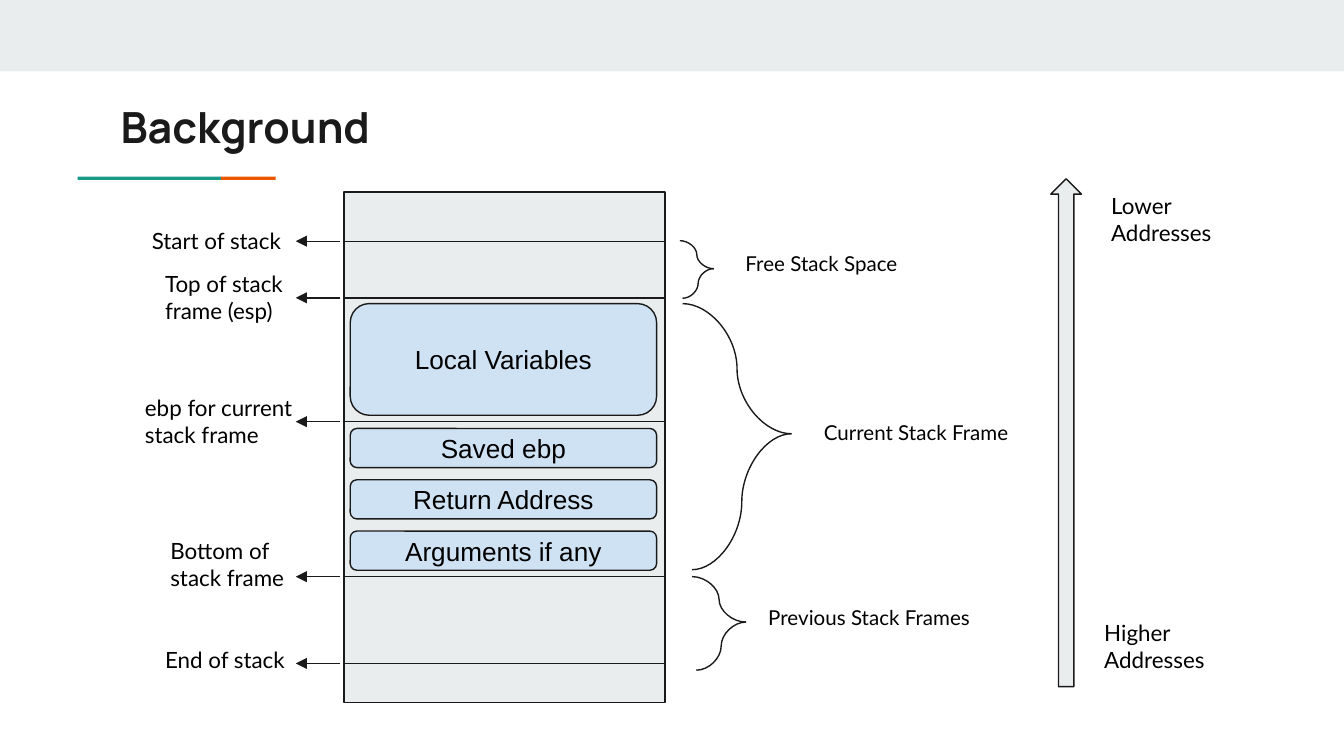
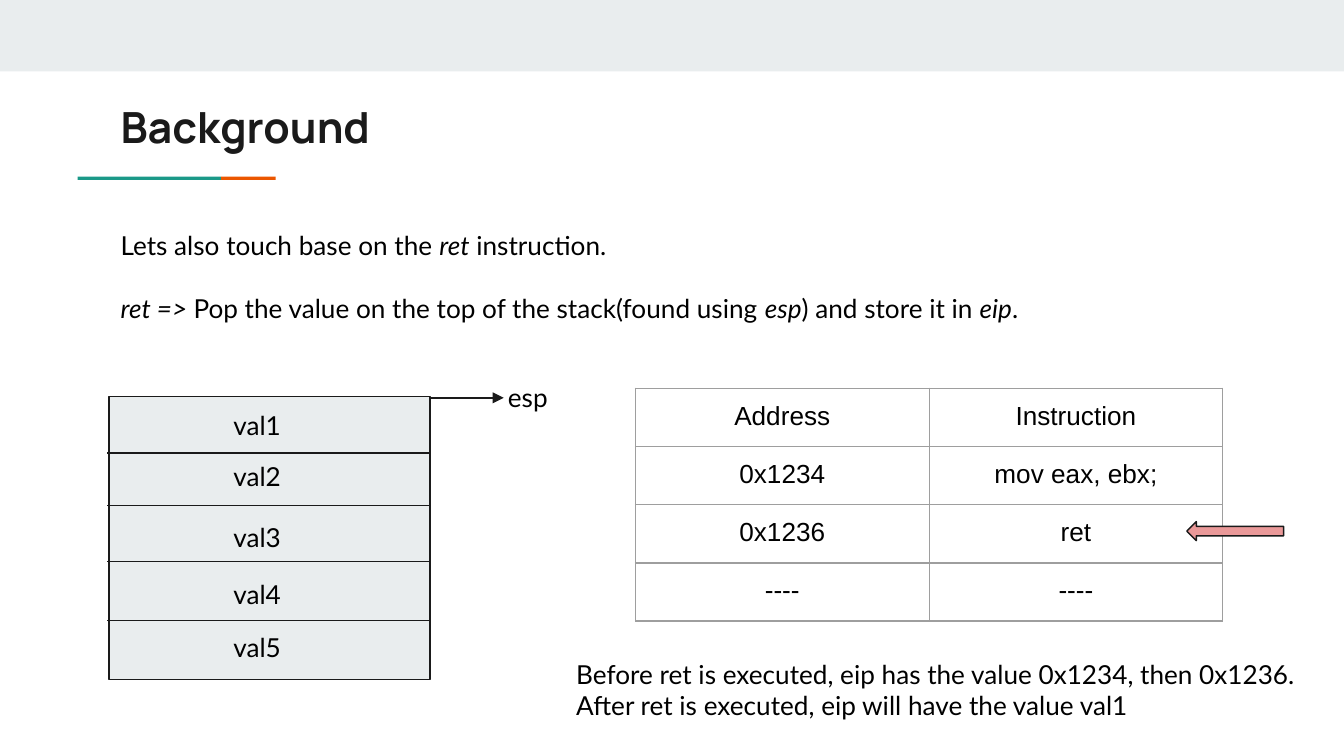
from dataclasses import dataclass

from lxml.etree import SubElement
from pptx import Presentation
from pptx.dml.color import RGBColor
from pptx.enum.shapes import MSO_CONNECTOR, MSO_SHAPE
from pptx.enum.text import MSO_ANCHOR, PP_ALIGN
from pptx.oxml import parse_xml
from pptx.oxml.ns import nsdecls, qn
from pptx.util import Cm, Pt


@dataclass(frozen=True)
class Theme:
    ink: str = "1A1A1A"
    text: str = "000000"
    band: str = "E9EDEE"
    teal: str = "1A9988"
    orange: str = "EB5600"
    block: str = "CFE2F3"
    pointer: str = "EA9999"
    grid: str = "9E9E9E"
    title_font: str = "Manrope"
    body_font: str = "Lato"
    block_font: str = "Arial"
    title_size: int = 23
    body_size: int = 14
    label_size: int = 12
    brace_size: int = 11
    line_width: float = 0.75
    inset: float = 0.25


T = Theme()


# Text
def set_font(p, size, font=T.body_font, color=T.text, align=PP_ALIGN.LEFT):
    p.alignment = align
    p.font.size = Pt(size)
    p.font.name = font
    p.font.color.rgb = RGBColor.from_string(color)


def set_frame(tf, anchor=MSO_ANCHOR.TOP):
    tf.word_wrap = True
    tf.vertical_anchor = anchor
    tf.margin_left = tf.margin_right = Cm(T.inset)
    tf.margin_top = tf.margin_bottom = Cm(T.inset)


def add_text(slide, box, paragraphs, size=T.body_size,
             align=PP_ALIGN.LEFT, space=0):
    """Each paragraph is a string; parts between asterisks are italic."""
    tf = slide.shapes.add_textbox(*map(Cm, box)).text_frame
    set_frame(tf)
    for i, text in enumerate(paragraphs):
        p = tf.add_paragraph() if i else tf.paragraphs[0]
        set_font(p, size, align=align)
        if i and space:
            p.space_before = Pt(space)
        for j, part in enumerate(text.split("*")):
            if part:
                r = p.add_run()
                r.text = part
                if j % 2:
                    r.font.italic = True


# Shapes and lines
def add_box(slide, kind, box, fill, outlined=True):
    sp = slide.shapes.add_shape(kind, *map(Cm, box))
    sp.shadow.inherit = False
    sp.fill.solid()
    sp.fill.fore_color.rgb = RGBColor.from_string(fill)
    if outlined:
        sp.line.color.rgb = RGBColor.from_string(T.ink)
        sp.line.width = Pt(T.line_width)
    else:
        sp.line.fill.background()
    return sp


def add_block(slide, top, height, text):
    sp = add_box(slide, MSO_SHAPE.ROUNDED_RECTANGLE,
                 (6.62, top, 5.79, height), T.block)
    sp.adjustments[0] = 0.17
    set_frame(sp.text_frame, MSO_ANCHOR.MIDDLE)
    p = sp.text_frame.paragraphs[0]
    set_font(p, T.body_size, T.block_font, align=PP_ALIGN.CENTER)
    p.add_run().text = text


def add_line(slide, start, end, kind=MSO_CONNECTOR.STRAIGHT, arrow=False):
    line = slide.shapes.add_connector(kind, *map(Cm, (*start, *end)))
    line.line.color.rgb = RGBColor.from_string(T.ink)
    line.line.width = Pt(T.line_width)
    if arrow:
        SubElement(line.line._get_or_add_ln(), qn("a:tailEnd"), type="triangle")
    SubElement(line._element.spPr, qn("a:effectLst"))


def add_brace(slide, top, bottom, tip):
    for arm in (top, bottom):
        add_line(slide, arm, tip, MSO_CONNECTOR.CURVE)


# Table
def set_borders(cell):
    tcPr = cell._tc.get_or_add_tcPr()
    for side in ("lnL", "lnR", "lnT", "lnB"):
        tcPr.append(parse_xml(
            f'<a:{side} {nsdecls("a")} w="{Pt(T.line_width)}"><a:solidFill>'
            f'<a:srgbClr val="{T.grid}"/></a:solidFill></a:{side}>'))


def add_grid(slide, left, top, col_width, row_height, rows):
    n_rows, n_cols = len(rows), len(rows[0])
    table = slide.shapes.add_table(
        n_rows, n_cols, Cm(left), Cm(top),
        Cm(col_width * n_cols), Cm(row_height * n_rows)).table
    table.first_row = table.horz_banding = False
    for row, values in zip(table.rows, rows):
        row.height = Cm(row_height)
        for cell, value in zip(row.cells, values):
            set_borders(cell)
            cell.fill.background()
            cell.margin_left = cell.margin_right = Cm(T.inset)
            cell.margin_top = cell.margin_bottom = Cm(T.inset)
            p = cell.text_frame.paragraphs[0]
            set_font(p, T.body_size, T.block_font, align=PP_ALIGN.CENTER)
            p.add_run().text = value


# Slide base: band, title and two-colour rule
def add_slide(prs, title):
    slide = prs.slides.add_slide(prs.slide_layouts[5])
    for box, color in (((0, 0, 25.4, 1.35), T.band),
                       ((1.47, 3.34, 2.71, 0.06), T.teal),
                       ((4.18, 3.34, 1.03, 0.06), T.orange)):
        add_box(slide, MSO_SHAPE.RECTANGLE, box, color, outlined=False)
    sp = slide.shapes.title
    sp.left, sp.top, sp.width, sp.height = map(Cm, (2.03, 1.63, 21.36, 1.5))
    set_frame(sp.text_frame, MSO_ANCHOR.MIDDLE)
    p = sp.text_frame.paragraphs[0]
    set_font(p, T.title_size, T.title_font, T.ink)
    p.font.bold = True
    p.add_run().text = title
    return slide


def build_stack_layout(prs):
    slide = add_slide(prs, "Background")
    add_box(slide, MSO_SHAPE.RECTANGLE, (6.5, 3.63, 6.07, 9.65), T.band)

    # Frame contents
    add_block(slide, 5.74, 2.11, "Local Variables")
    for i, text in enumerate(("Saved ebp", "Return Address", "Arguments if any")):
        add_block(slide, 8.1 + 0.97 * i, 0.74, text)

    # Levels with their pointers: y, label, label box
    levels = (
        (4.56, "Start of stack", (2.62, 4.04, 3, 1.02)),
        (5.63, "Top of stack frame (esp)", (2.87, 4.85, 3, 1.55)),
        (7.97, "ebp for current stack frame", (2.49, 7.21, 3.94, 1.55)),
        (10.9, "Bottom of stack frame", (2.97, 9.91, 3, 1.55)),
        (12.54, "End of stack", (2.87, 11.96, 3, 1.02)),
    )
    for y, label, box in levels:
        add_line(slide, (6.48, y), (12.57, y))
        add_line(slide, (6.42, y), (5.59, y), arrow=True)
        add_text(slide, box, [label], T.label_size)

    # Braces: upper arm, lower arm, tip, label, label position
    braces = (
        ((12.85, 4.55), (12.9, 5.64), (13.49, 5.08),
         "Free Stack Space", (13.84, 4.52)),
        ((12.9, 5.74), (13.08, 10.77), (14.96, 8.2),
         "Current Stack Frame", (15.32, 7.7)),
        ((13.08, 10.9), (13.16, 12.67), (14.1, 11.76),
         "Previous Stack Frames", (14.27, 11.2)),
    )
    for top, bottom, tip, label, corner in braces:
        add_brace(slide, top, bottom, tip)
        add_text(slide, (*corner, 5.41, 0.99), [label], T.brace_size)

    # Address direction
    add_box(slide, MSO_SHAPE.UP_ARROW, (19.86, 3.38, 0.58, 9.6), T.band)
    add_text(slide, (20.75, 3.38, 3, 1.55), ["Lower Addresses"], T.label_size)
    add_text(slide, (20.62, 11.46, 2.87, 1.55), ["Higher Addresses"], T.label_size)


def build_ret_example(prs):
    slide = add_slide(prs, "Background")
    add_text(slide, (2.03, 4.09, 21.72, 3.51), [
        "Lets also touch base on the *ret* instruction.",
        "*ret => *Pop the value on the top of the stack(found using *esp*)"
        " and store it in *eip*.",
    ], space=17)

    # Stack values
    add_box(slide, MSO_SHAPE.RECTANGLE, (2.06, 7.49, 6.07, 5.36), T.band)
    for y in (8.56, 9.55, 10.62, 11.73):
        add_line(slide, (2.03, y), (8.15, y))
    for i, top in enumerate((7.49, 8.46, 9.6, 10.69, 11.68), 1):
        add_text(slide, (2.08, top, 5.56, 1.12), [f"val{i}"],
                 align=PP_ALIGN.CENTER)
    add_line(slide, (8.15, 7.52), (9.52, 7.52), arrow=True)
    add_text(slide, (9.35, 6.96, 1.42, 1.12), ["esp"])

    # Instructions
    add_grid(slide, 12.01, 7.34, 5.55, 1.1, (
        ("Address", "Instruction"),
        ("0x1234", "mov eax, ebx;"),
        ("0x1236", "ret"),
        ("----", "----"),
    ))
    add_box(slide, MSO_SHAPE.LEFT_ARROW, (22.43, 9.86, 1.83, 0.36), T.pointer)
    add_text(slide, (10.64, 12.19, 14.17, 1.7), [
        "Before ret is executed, eip has the value 0x1234, then 0x1236.",
        "After ret is executed, eip will have the value val1",
    ])


def main():
    prs = Presentation()
    prs.slide_width, prs.slide_height = Cm(25.4), Cm(14.29)
    build_stack_layout(prs)
    build_ret_example(prs)
    prs.save("out.pptx")


if __name__ == "__main__":
    main()
